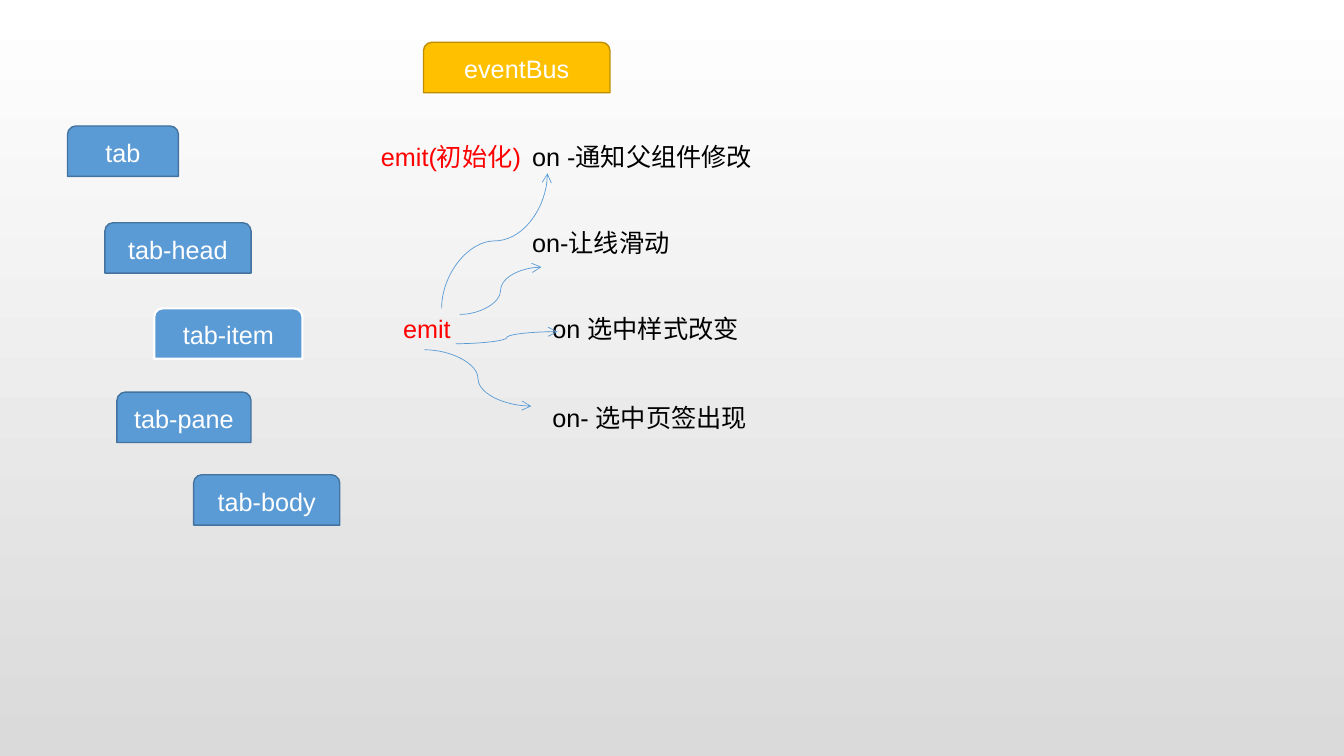
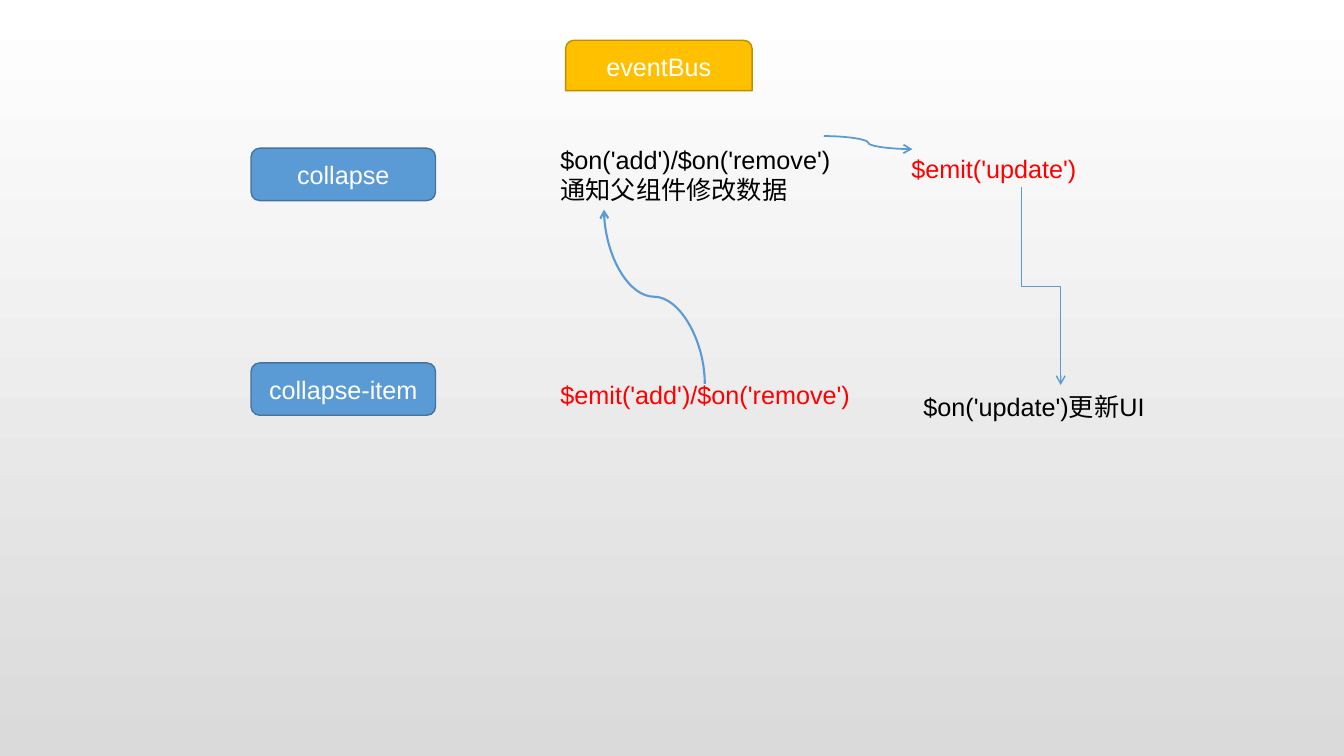
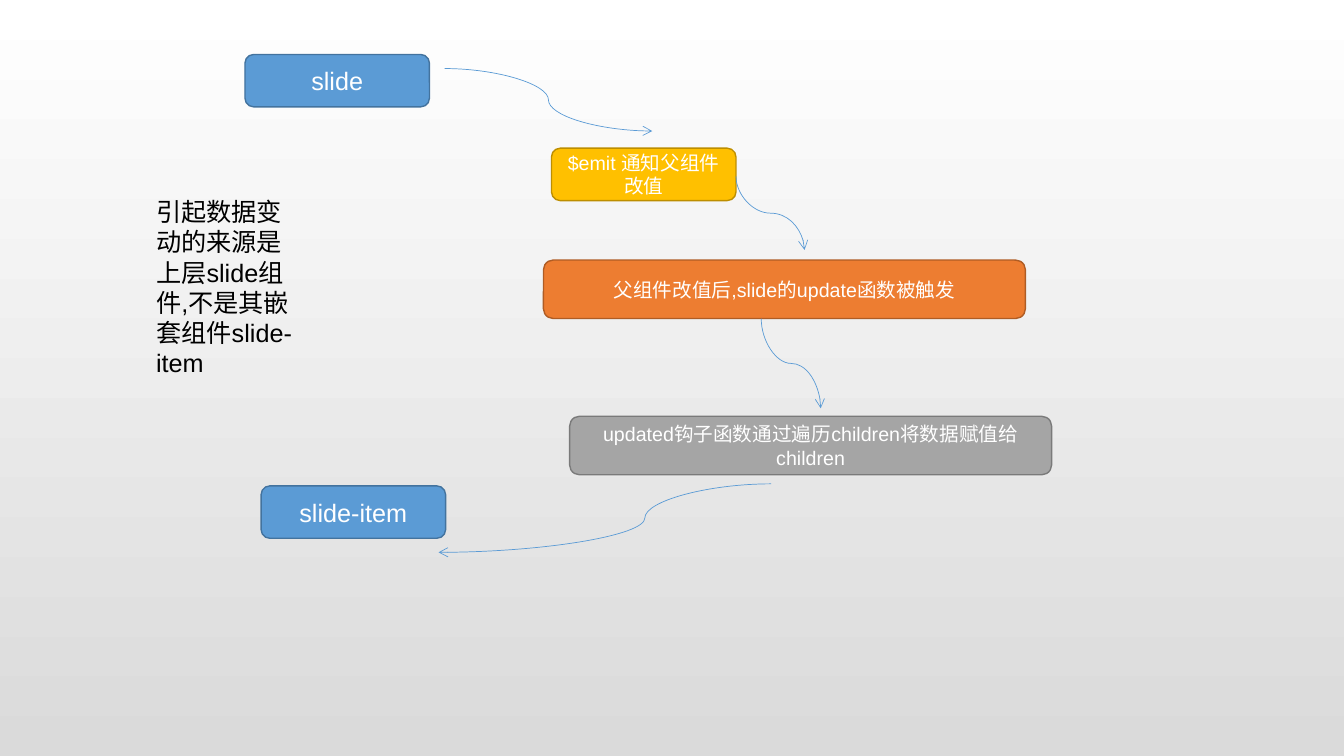
"""Build three slides on event flow between UI components."""
from pptx import Presentation
from pptx.dml.color import RGBColor
from pptx.enum.shapes import MSO_CONNECTOR, MSO_SHAPE
from pptx.enum.text import MSO_ANCHOR, PP_ALIGN
from pptx.oxml.ns import qn
from pptx.oxml.xmlchemy import OxmlElement
from pptx.util import Inches, Pt

TAB = MSO_SHAPE.ROUND_2_SAME_RECTANGLE
ROUNDED = MSO_SHAPE.ROUNDED_RECTANGLE
CURVE = MSO_CONNECTOR.CURVE
ELBOW = MSO_CONNECTOR.ELBOW
CENTER = PP_ALIGN.CENTER
MIDDLE = MSO_ANCHOR.MIDDLE
FONT = "Arial"
COLORS = {
    "white": "FFFFFF", "black": "000000", "red": "FF0000", "backdrop": "DADADA",
    "blue": "5B9BD5", "blue_edge": "43739E",
    "gold": "FFC000", "gold_edge": "BD8E00",
    "orange": "ED7D31", "orange_edge": "AF5C24",
    "gray": "A5A5A5", "gray_edge": "7A7A7A",
}


def rgb(name):
    """Return the named palette colour."""
    return RGBColor.from_string(COLORS[name])


def set_backdrop(master):
    """Give every slide a vertical white-to-gray gradient."""
    fill = master.background.fill
    fill.gradient()
    fill.gradient_angle = 270
    for stop, name in zip(fill.gradient_stops, ("white", "backdrop")):
        stop.color.rgb = rgb(name)


def write(paragraph, text, size, color):
    """Add text run by run, with a line break between lines."""
    for index, line in enumerate(text.split("\n")):
        if index:
            paragraph.add_line_break()
        run = paragraph.add_run()
        run.text = line
        run.font.name = FONT
        run.font.size = Pt(size)
        run.font.color.rgb = rgb(color)


def add_box(slide, kind, text, left, top, width, height, color="blue",
            size=18, edge=None, edge_width=1):
    """Add a filled component box with a centred label."""
    shape = slide.shapes.add_shape(
        kind, Inches(left), Inches(top), Inches(width), Inches(height))
    shape.shadow.inherit = False
    shape.fill.solid()
    shape.fill.fore_color.rgb = rgb(color)
    shape.line.color.rgb = rgb(edge or color + "_edge")
    shape.line.width = Pt(edge_width)
    frame = shape.text_frame
    frame.word_wrap = True
    frame.vertical_anchor = MIDDLE
    frame.paragraphs[0].alignment = CENTER
    write(frame.paragraphs[0], text, size, "white")


def add_component(slide, text, left, top):
    """Add a blue rounded box of the standard size."""
    add_box(slide, ROUNDED, text, left, top, 1.83, 0.52)


def add_event_bus(slide, left, top):
    """Add the gold event bus tab."""
    add_box(slide, TAB, "eventBus", left, top, 1.85, 0.5, "gold")


def add_note(slide, text, left, top, width, height=0.4, color="black"):
    """Add a wrapping text note."""
    box = slide.shapes.add_textbox(
        Inches(left), Inches(top), Inches(width), Inches(height))
    box.text_frame.word_wrap = True
    write(box.text_frame.paragraphs[0], text, 18, color)


def add_arrow(slide, start, end, width=0.5, kind=CURVE, upright=False, bend=0.5):
    """Add an arrow; an upright one leaves and arrives vertically."""
    (x1, y1), (x2, y2) = start, end
    downward = y2 > y1
    if upright:
        middle_x, middle_y = (x1 + x2) / 2, (y1 + y2) / 2
        half_run = abs(y2 - y1) / 2
        half_rise = (x1 - x2 if downward else x2 - x1) / 2
        x1, x2 = middle_x - half_run, middle_x + half_run
        y1, y2 = middle_y - half_rise, middle_y + half_rise
    connector = slide.shapes.add_connector(
        kind, Inches(x1), Inches(y1), Inches(x2), Inches(y2))
    connector.line.color.rgb = rgb("blue")
    connector.line.width = Pt(width)
    properties = connector._element.spPr
    if upright:
        degrees = 90 if downward else 270
        properties.find(qn("a:xfrm")).set("rot", str(degrees * 60000))
    guide = OxmlElement("a:gd")
    guide.set("name", "adj1")
    guide.set("fmla", f"val {round(bend * 100000)}")
    properties.find(qn("a:prstGeom")).find(qn("a:avLst")).append(guide)
    head = OxmlElement("a:tailEnd")
    head.set("type", "arrow")
    properties.find(qn("a:ln")).append(head)
    properties.append(OxmlElement("a:effectLst"))


def build_tab(slide):
    """Draw the tab component events."""
    for text, left, top, width in (
            ("tab", 0.67, 1.25, 1.1), ("tab-pane", 1.16, 3.89, 1.33),
            ("tab-body", 1.92, 4.71, 1.45), ("tab-head", 1.04, 2.21, 1.45)):
        add_box(slide, TAB, text, left, top, width, 0.5)
    add_box(slide, TAB, "tab-item", 1.53, 3.06, 1.47, 0.5,
            edge="white", edge_width=1.5)
    add_event_bus(slide, 4.2, 0.42)
    add_note(slide, "emit(初始化)", 3.68, 1.35, 1.59, color="red")
    add_note(slide, "emit", 3.9, 3.06, 0.67, color="red")
    for text, left, top, width in (
            ("on 选中样式改变", 5.38, 3.06, 2.05),
            ("on- 选中页签出现", 5.38, 3.94, 2.13),
            ("on-让线滑动", 5.18, 2.21, 1.56),
            ("on -通知父组件修改", 5.18, 1.35, 2.38)):
        add_note(slide, text, left, top, width)
    add_arrow(slide, (4.38, 3.06), (5.43, 1.72), upright=True)
    for start, end in (((4.56, 3.12), (5.37, 2.65)),
                       ((4.52, 3.41), (5.53, 3.29)),
                       ((4.21, 3.47), (5.27, 4.03))):
        add_arrow(slide, start, end)


def build_collapse(slide):
    """Draw the collapse component events."""
    add_component(slide, "collapse", 2.49, 1.47)
    add_component(slide, "collapse-item", 2.49, 3.6)
    add_event_bus(slide, 5.61, 0.4)
    for text, left, top, height, color in (
            ("$on('add')/$on('remove')\n通知父组件修改数据", 5.46, 1.38, 1.01, "black"),
            ("$emit('add')/$on('remove')", 5.46, 3.71, 0.71, "red"),
            ("$emit('update')", 8.94, 1.47, 0.71, "red"),
            ("$on('update')更新UI", 9.06, 3.83, 0.71, "black")):
        add_note(slide, text, left, top, 3.61, height, color)
    add_arrow(slide, (6.99, 3.81), (5.99, 2.08), 1.5, upright=True)
    add_arrow(slide, (8.17, 1.35), (9.05, 1.48), 1.25)
    add_arrow(slide, (10.13, 1.86), (10.52, 3.82), 1, ELBOW, upright=True)


def build_slide_component(slide):
    """Draw the slide component update flow."""
    add_component(slide, "slide", 2.43, 0.54)
    add_component(slide, "slide-item", 2.59, 4.82)
    for text, left, top, width, height, color in (
            ("$emit 通知父组件改值", 5.47, 1.47, 1.83, 0.52, "gold"),
            ("父组件改值后,slide的update函数被触发".replace(",", ","),
             5.39, 2.58, 4.78, 0.58, "orange"),
            ("updated钩子函数通过遍历children将数据赋值给children",
             5.65, 4.13, 4.78, 0.58, "gray")):
        add_box(slide, ROUNDED, text, left, top, width, height, color, size=14)
    add_arrow(slide, (4.41, 0.68), (6.47, 1.3))
    add_arrow(slide, (7.3, 1.75), (7.98, 2.48), upright=True)
    add_arrow(slide, (7.55, 3.16), (8.14, 4.05), upright=True)
    add_arrow(slide, (7.65, 4.8), (4.35, 5.48), bend=0.38)
    add_note(slide, "引起数据变动的来源是上层slide组件,不是其嵌套组件slide-item",
             1.45, 1.9, 1.69, 1.92)


def main():
    """Build and save the presentation."""
    presentation = Presentation()
    presentation.slide_width = Inches(13.33)
    presentation.slide_height = Inches(7.5)
    set_backdrop(presentation.slide_master)
    blank = presentation.slide_layouts[6]
    for build in (build_tab, build_collapse, build_slide_component):
        build(presentation.slides.add_slide(blank))
    presentation.save("out.pptx")


main()
